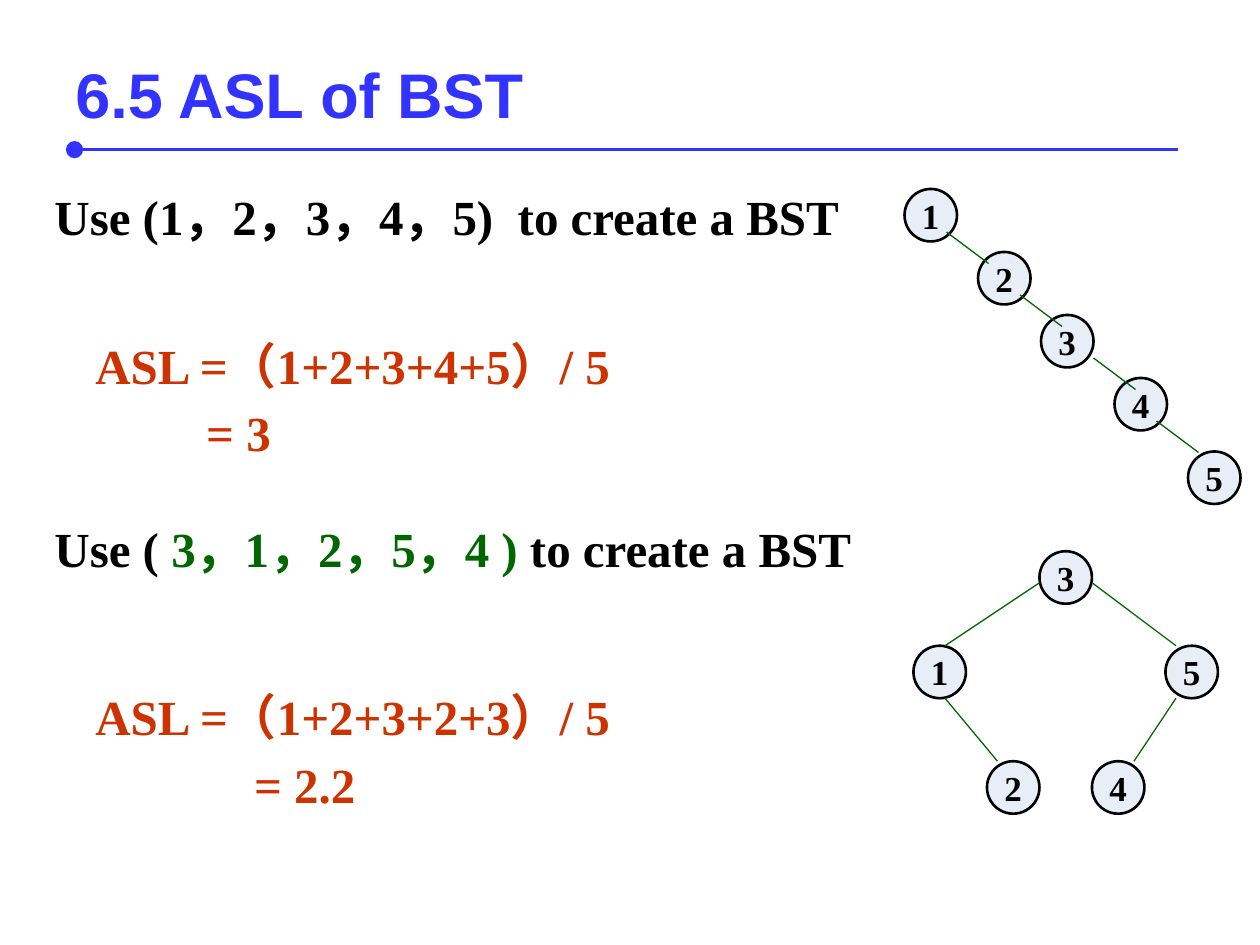
from typing import NamedTuple

from lxml.etree import SubElement
from pptx import Presentation
from pptx.dml.color import RGBColor
from pptx.enum.shapes import MSO_CONNECTOR, MSO_SHAPE
from pptx.enum.text import MSO_ANCHOR, MSO_AUTO_SIZE, PP_ALIGN
from pptx.oxml.ns import qn
from pptx.util import Emu, Inches, Pt

COLORS = {
    "title": "3333FF", "text": "000000", "result": "CC3300",
    "green": "006600", "node": "E8EEF7",
}
SERIF = "Times New Roman"
CELL = 1 / 12  # inches: the slide is a grid of 120 columns by 90 rows
NODE_SIZE = 5  # cells


class Node(NamedTuple):
    key: str
    col: float
    row: float


class Edge(NamedTuple):
    col: float
    row: float
    end_col: float
    end_row: float


class Span(NamedTuple):
    text: str
    color: str


class Line(NamedTuple):
    spans: list[Span]
    indent: float = 0  # inches


class Block(NamedTuple):
    col: float
    row: float
    width: float
    lines: list[Line]
    wrap: bool = True


CHAIN_NODES = [Node("1", 86.15, 18), Node("2", 93.15, 24), Node("3", 99.15, 30),
               Node("4", 106.15, 36), Node("5", 113.15, 43)]
CHAIN_EDGES = [Edge(col, row, col + 4, row + 3) for col, row in
               [(90.15, 22.1), (97.15, 28.1), (104.15, 34.1), (110.15, 40.1)]]
BALANCED_NODES = [Node("3", 99, 52.5), Node("5", 111, 61.5), Node("4", 104, 72.5),
                  Node("1", 87, 61.5), Node("2", 94, 72.5)]
BALANCED_EDGES = [Edge(99, 55.5, 90, 61.5), Edge(104, 55.5, 112, 61.5),
                  Edge(90, 66.5, 95, 72.5), Edge(112, 66.5, 108, 72.5)]
BLOCKS = [
    Block(4, 16.3, 81, [
        Line([Span("Use (1，2，3，4，5)  to create a BST", "text")])]),
    Block(7.9, 30.5, 56.2, [
        Line([Span("ASL =（1+2+3+4+5）/ 5", "result")]),
        Line([Span("= 3", "result")], 0.88)], wrap=False),
    Block(4, 48, 82, [
        Line([Span("Use ( ", "text"), Span("3，1，2，5，4 ) ", "green"),
              Span("to create a BST", "text")])]),
    Block(7.9, 64, 57.2, [
        Line([Span("ASL =（1+2+3+2+3）/ 5", "result")]),
        Line([Span("= 2.2", "result")], 1.26)], wrap=False),
]


def cells(count: float) -> Emu:
    return Inches(count * CELL)


def rgb(name: str) -> RGBColor:
    return RGBColor.from_string(COLORS[name])


def style(font, size: float, color: str, face: str = SERIF) -> None:
    font.name, font.size, font.bold = face, Pt(size), True
    font.color.rgb = rgb(color)


def draw_edge(slide, edge: Edge, color: str = "green", weight: float = 0.75):
    connector = slide.shapes.add_connector(
        MSO_CONNECTOR.STRAIGHT, *(cells(value) for value in edge))
    connector.line.color.rgb = rgb(color)
    connector.line.width = Pt(weight)
    SubElement(connector._element.spPr, qn("a:effectLst"))
    return connector


def draw_title(slide, title: str) -> None:
    """Write the title above a rule that starts with a dot."""
    heading = slide.shapes.add_textbox(cells(6), cells(3.6), cells(108), cells(10.5))
    frame = heading.text_frame
    frame.word_wrap = True
    frame.vertical_anchor = MSO_ANCHOR.MIDDLE
    frame.text = title
    style(frame.paragraphs[0].runs[0].font, 36, "title", "Arial")
    rule = draw_edge(slide, Edge(7.1, 14.25, 112.2, 14.25), "title", 1.5)
    SubElement(rule.line._get_or_add_ln(), qn("a:headEnd"),
               type="oval", w="lg", len="lg")


def draw_block(slide, block: Block) -> None:
    box = slide.shapes.add_textbox(
        cells(block.col), cells(block.row), cells(block.width), cells(14.2))
    frame = box.text_frame
    frame.word_wrap = block.wrap
    frame.auto_size = MSO_AUTO_SIZE.SHAPE_TO_FIT_TEXT
    for index, line in enumerate(block.lines):
        paragraph = frame.add_paragraph() if index else frame.paragraphs[0]
        paragraph.line_spacing = 1.15
        if line.indent:
            paragraph._p.get_or_add_pPr().set("marL", str(Inches(line.indent)))
        for span in line.spans:
            run = paragraph.add_run()
            run.text = span.text
            style(run.font, 28, span.color)


def draw_node(slide, node: Node) -> None:
    circle = slide.shapes.add_shape(
        MSO_SHAPE.OVAL, cells(node.col), cells(node.row),
        cells(NODE_SIZE), cells(NODE_SIZE))
    circle.shadow.inherit = False
    circle.fill.solid()
    circle.fill.fore_color.rgb = rgb("node")
    circle.line.color.rgb = rgb("text")
    circle.line.width = Pt(1.5)
    frame = circle.text_frame
    frame.word_wrap = False
    frame.vertical_anchor = MSO_ANCHOR.MIDDLE
    frame.text = node.key
    label = frame.paragraphs[0]
    label.alignment = PP_ALIGN.CENTER
    style(label.runs[0].font, 20, "text")


def draw_tree(slide, nodes: list[Node], edges: list[Edge]) -> None:
    for node in nodes:
        draw_node(slide, node)
    for edge in edges:
        draw_edge(slide, edge)


def main() -> None:
    deck = Presentation()
    deck.slide_width, deck.slide_height = cells(120), cells(90)
    slide = deck.slides.add_slide(deck.slide_layouts[6])
    draw_title(slide, "6.5 ASL of BST")
    for block in BLOCKS:
        draw_block(slide, block)
    draw_tree(slide, CHAIN_NODES, CHAIN_EDGES)
    draw_tree(slide, BALANCED_NODES, BALANCED_EDGES)
    deck.save("out.pptx")


if __name__ == "__main__":
    main()
